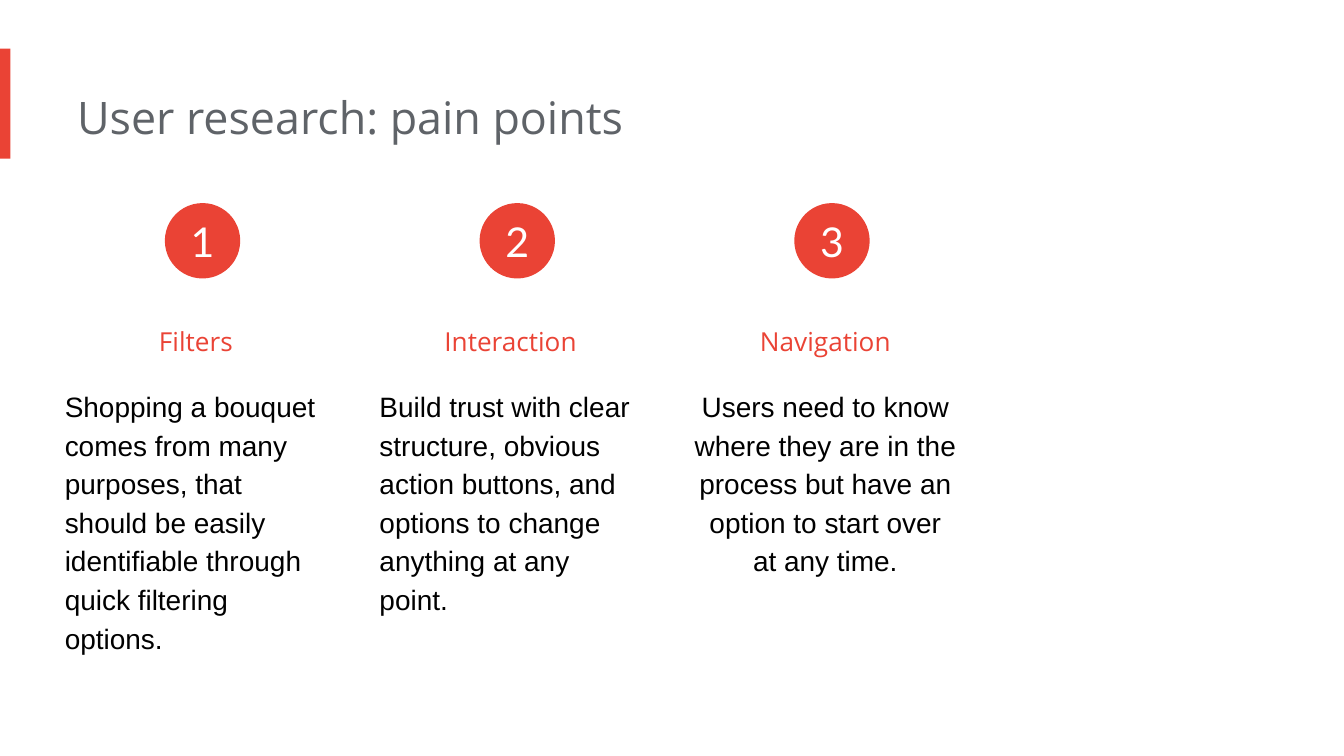
import pptx
import pptx.dml.color
import pptx.enum.shapes
import pptx.enum.text
import pptx.util

Pt = pptx.util.Pt
ALIGN = pptx.enum.text.PP_ALIGN
ANCHOR = pptx.enum.text.MSO_ANCHOR
SHAPE = pptx.enum.shapes.MSO_SHAPE

COLORS = {
    "accent": "EA4335",
    "title": "5F6368",
    "body": "000000",
    "number": "FFFFFF",
}

PAIN_POINTS = [
    ("Filters",
     "Shopping a bouquet comes from many purposes, that should be easily "
     "identifiable through quick filtering options.", ALIGN.LEFT),
    ("Interaction",
     "Build trust with clear structure, obvious action buttons, and options "
     "to change anything at any point.", ALIGN.LEFT),
    ("Navigation",
     "Users need to know where they are in the process but have an option "
     "to start over at any time.", ALIGN.CENTER),
]


def rgb(name):
    return pptx.dml.color.RGBColor.from_string(COLORS[name])


def write(holder, text, *, font, size, color, align=ALIGN.LEFT, spacing=1.0,
          anchor=ANCHOR.TOP, insets=(0, 7.2, 7.2, 7.2)):
    """Fill a shape or text box with one formatted paragraph."""
    frame = holder.text_frame
    frame.word_wrap = True
    frame.vertical_anchor = anchor
    (frame.margin_left, frame.margin_top,
     frame.margin_right, frame.margin_bottom) = map(Pt, insets)
    paragraph = frame.paragraphs[0]
    paragraph.alignment = align
    paragraph.line_spacing = spacing
    run = paragraph.add_run()
    run.text = text
    run.font.name = font
    run.font.size = Pt(size)
    run.font.color.rgb = rgb(color)


def add_textbox(slide, left, top, width, height, text, **style):
    box = slide.shapes.add_textbox(Pt(left), Pt(top), Pt(width), Pt(height))
    write(box, text, **style)


def add_accent(slide, kind, left, top, width, height):
    accent = slide.shapes.add_shape(kind, Pt(left), Pt(top), Pt(width), Pt(height))
    accent.shadow.inherit = False
    accent.fill.solid()
    accent.fill.fore_color.rgb = rgb("accent")
    accent.line.fill.background()
    return accent


def add_header(slide, left, top, width, height):
    # Bar at the slide edge, with the title beside it
    add_accent(slide, SHAPE.RECTANGLE, left, top, 5.6, height)
    title_left, title_drop = 41.3, 15
    add_textbox(slide, left + title_left, top + title_drop,
                width - title_left, height - title_drop,
                "User research: pain points",
                font="Open Sans", size=24, color="title")


def add_pain_point(slide, left, top, width, height, number, heading, body, align):
    # Heading and description
    heading_drop, body_drop = 49.7, 90
    add_textbox(slide, left, top + heading_drop, width, 31.6, heading,
                font="Open Sans", size=14, color="accent",
                align=ALIGN.CENTER, spacing=1.5)
    add_textbox(slide, left, top + body_drop, width, height - body_drop, body,
                font="Arial", size=15, color="body", align=align, spacing=1.15)
    # Number badge
    diameter = 40.4
    badge = add_accent(slide, SHAPE.OVAL, left + (width - diameter) / 2, top,
                       diameter, diameter)
    write(badge, str(number), font="Lato", size=22, color="number",
          align=ALIGN.CENTER, anchor=ANCHOR.MIDDLE, insets=(0, 0, 0, 0))


def add_pain_points(slide, left, top, width, height):
    # Equal columns with a fixed gap
    gap = 21
    count = len(PAIN_POINTS)
    column = (width - gap * (count - 1)) / count
    for index, point in enumerate(PAIN_POINTS):
        add_pain_point(slide, left + index * (column + gap), top, column, height,
                       index + 1, *point)


def main():
    deck = pptx.Presentation()
    deck.slide_width, deck.slide_height = Pt(720), Pt(405)
    slide = deck.slides.add_slide(deck.slide_layouts[6])
    add_header(slide, 0, 26, 525.6, 59)
    add_pain_points(slide, 34.7, 108.8, 484.8, 286.5)
    deck.save("out.pptx")


if __name__ == "__main__":
    main()
